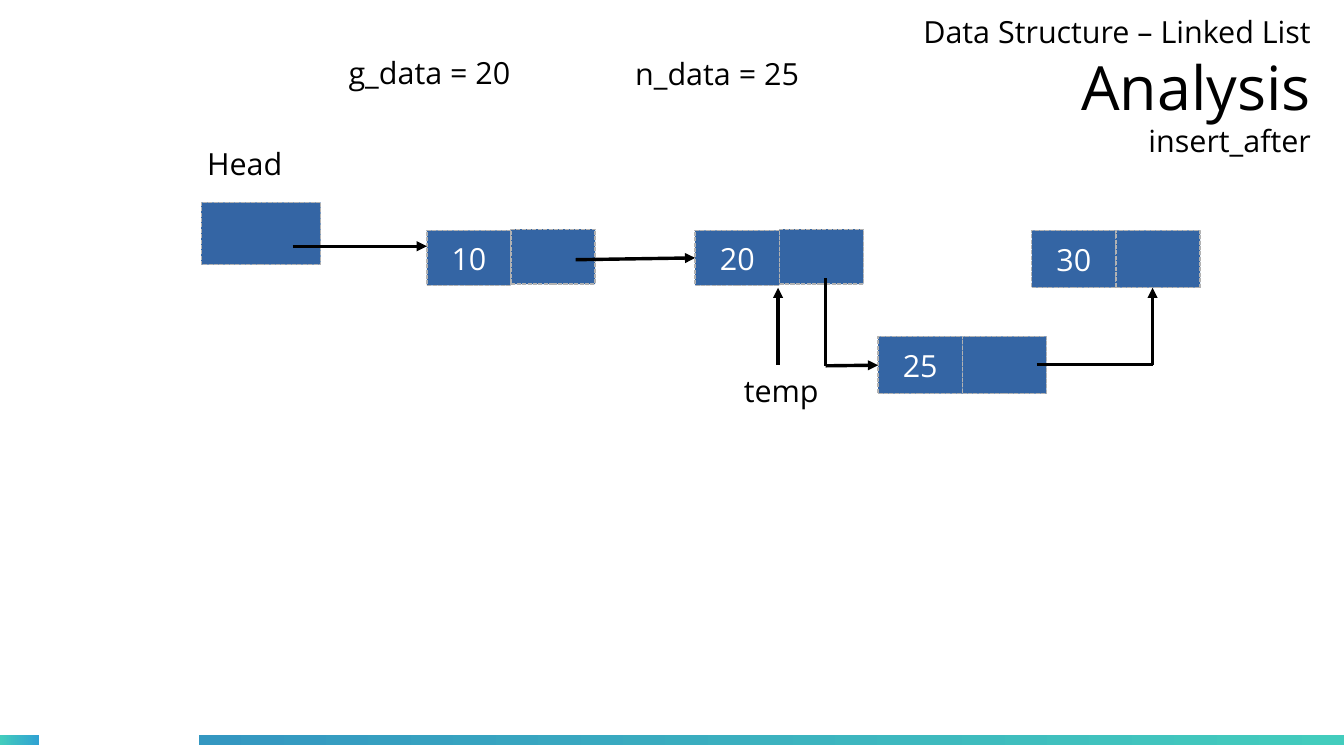
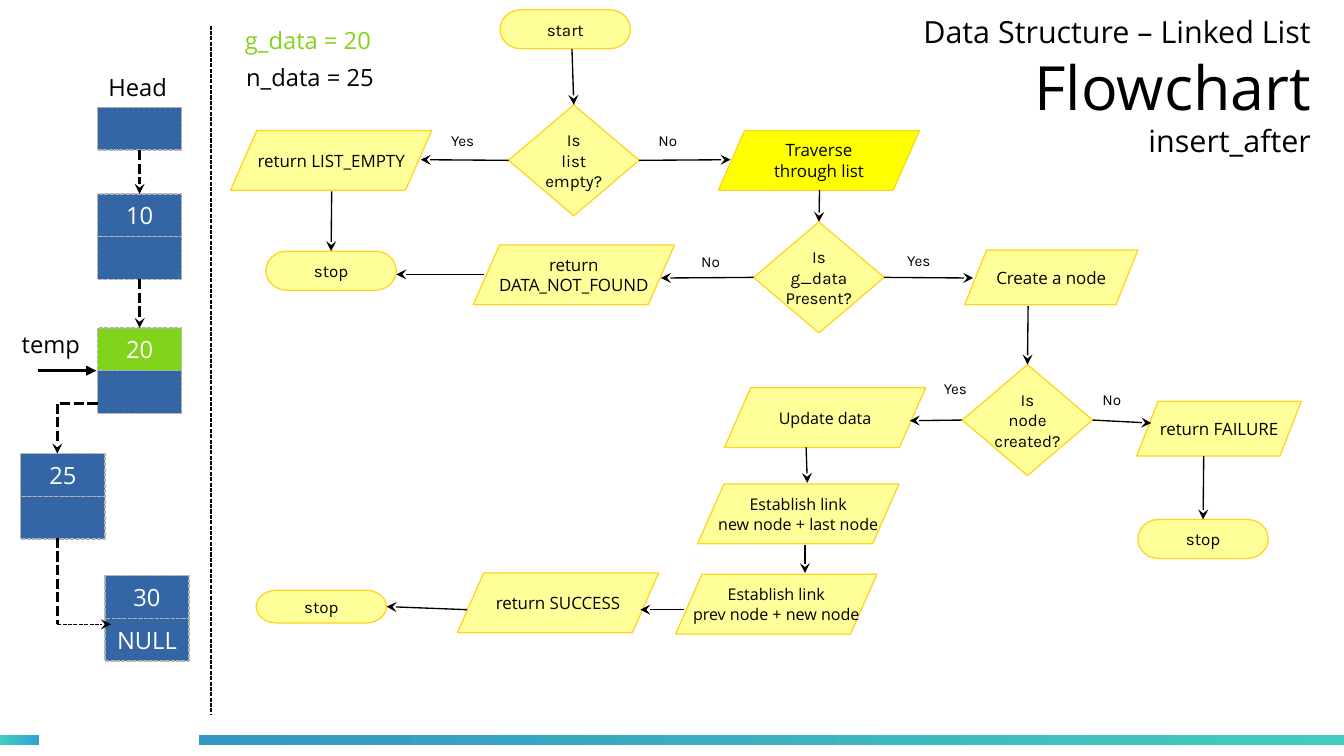
from dataclasses import dataclass
from typing import Any, Optional, Union

import lxml.etree
import pptx
import pptx.dml.color
import pptx.enum.dml
import pptx.enum.shapes
import pptx.enum.text
import pptx.oxml.ns
import pptx.presentation
import pptx.slide
import pptx.util

Inches = pptx.util.Inches
Pt = pptx.util.Pt
RGBColor = pptx.dml.color.RGBColor
SHAPE = pptx.enum.shapes.MSO_SHAPE
ALIGN = pptx.enum.text.PP_ALIGN
MIDDLE = pptx.enum.text.MSO_ANCHOR.MIDDLE
DOTTED = pptx.enum.dml.MSO_LINE.SQUARE_DOT
qn = pptx.oxml.ns.qn

BLACK = RGBColor(0x00, 0x00, 0x00)
WHITE = RGBColor(0xFF, 0xFF, 0xFF)
BLUE = RGBColor(0x34, 0x65, 0xA4)
GRAY = RGBColor(0xB2, 0xB2, 0xB2)
GREEN = RGBColor(0x81, 0xD4, 0x1A)
CREAM = RGBColor(0xFF, 0xFF, 0x99)
YELLOW = RGBColor(0xFF, 0xFF, 0x00)
GOLD = RGBColor(0xFF, 0xD3, 0x20)
TEAL = RGBColor(0x43, 0xCC, 0xBD)
SKY = RGBColor(0x30, 0xA2, 0xD2)
STEEL = RGBColor(0x34, 0x97, 0xC1)

BODY = "Open Sans"
FLOW = "Karla"
THIN = 0.79
CELL_W = 0.69
TOP, LEFT, BOTTOM, RIGHT = range(4)


@dataclass(frozen=True)
class Band:
    left: float
    width: float
    start: RGBColor
    end: RGBColor


@dataclass(frozen=True)
class Label:
    text: str
    left: float
    top: float
    width: float
    size: float
    font: str = BODY
    color: RGBColor = BLACK


@dataclass(frozen=True)
class Node:
    key: str
    left: float
    top: float
    height: float
    step: tuple[float, float]
    texts: tuple[str, ...]
    size: float
    fill: RGBColor = BLUE


@dataclass(frozen=True)
class FlowKind:
    shape: Any
    width: float
    height: float
    font: str
    slant: Optional[float] = None


@dataclass(frozen=True)
class Step:
    key: str
    kind: FlowKind
    left: float
    top: float
    lines: tuple[str, ...]
    size: float = 10
    fill: RGBColor = CREAM


@dataclass(frozen=True)
class Joint:
    key: str
    site: int


End = Union[Joint, tuple[float, float]]


@dataclass(frozen=True)
class Link:
    start: End
    end: End
    head: Optional[str] = "stealth"
    width: float = THIN
    dotted: bool = False


BANDS = (Band(0, 0.32, TEAL, SKY), Band(1.63, 9.39, STEEL, TEAL))

TERMINAL = FlowKind(SHAPE.FLOWCHART_TERMINATOR, 1.07, 0.32, FLOW)
LOW_TERMINAL = FlowKind(SHAPE.FLOWCHART_TERMINATOR, 1.07, 0.27, FLOW)
DECISION = FlowKind(SHAPE.FLOWCHART_DECISION, 1.07, 0.91, FLOW)
ACTION = FlowKind(SHAPE.PARALLELOGRAM, 1.65, 0.49, BODY, 0.44)
CREATE = FlowKind(SHAPE.PARALLELOGRAM, 1.42, 0.45, BODY, 0.4)
FAILURE = FlowKind(SHAPE.PARALLELOGRAM, 1.35, 0.45, BODY, 0.39)

ROW_NODES = (
    Node("30", 8.46, 1.89, 0.47, (CELL_W, 0), ("30", ""), 18),
    Node("20", 5.7, 1.89, 0.45, (CELL_W, -0.01), ("20", ""), 18),
    Node("25", 7.2, 2.76, 0.47, (CELL_W, 0), ("25", ""), 18),
    Node("10", 3.5, 1.89, 0.45, (CELL_W, -0.01), ("10", ""), 18),
)
ROW_LABELS = (
    Label("Head", 1.6, 1.14, 1.11, 18),
    Label("g_data = 20", 2.76, 0.39, 2.52, 18),
    Label("n_data = 25", 5.11, 0.4, 1.89, 18),
    Label("temp", 6, 3, 1.09, 18),
)
ROW_LINKS = (
    Link((2.4, 2.02), (3.5, 2.02), "triangle", 0),
    Link((4.72, 2.13), Joint("20.0", LEFT), "triangle", 0),
    Link((6.38, 2.99), (6.38, 2.36), "triangle", 0),
    Link((8.5, 2.99), (9.45, 2.99), None, 0),
    Link((9.45, 2.99), (9.45, 2.36), "triangle", 0),
    Link((6.77, 2.28), (6.77, 3), None, 0),
    Link((6.77, 3), Joint("25.0", LEFT), "triangle", 0),
)

COLUMN = (0, 0.35)
COLUMN_NODES = (
    Node("head", 0.8, 0.88, 0.35, COLUMN, ("",), 14),
    Node("10", 0.8, 1.59, 0.35, COLUMN, ("10", ""), 14),
    Node("20", 0.8, 2.69, 0.35, COLUMN, ("20", ""), 14, GREEN),
    Node("25", 0.17, 3.72, 0.35, COLUMN, ("25", ""), 14),
    Node("30", 0.86, 4.72, 0.35, COLUMN, ("30", "NULL"), 14),
)
STEPS = (
    Step("start", TERMINAL, 4.1, 0.08, ("start",)),
    Step("empty", DECISION, 4.17, 0.86, ("Is", "list", "empty?")),
    Step("traverse", ACTION, 5.89, 1.07, ("Traverse", "through list"), fill=YELLOW),
    Step("list_empty", ACTION, 1.89, 1.07, ("return LIST_EMPTY",)),
    Step("stop_empty", TERMINAL, 2.18, 2.06, ("stop",)),
    Step("not_found", ACTION, 3.88, 2.01, ("return", "DATA_NOT_FOUND")),
    Step("create", CREATE, 7.91, 2.05, ("Create a node",)),
    Step("present", DECISION, 6.18, 1.82, ("Is", "g_data", "Present?")),
    Step("created", DECISION, 7.89, 2.99, ("Is", "node", "created?")),
    Step("failure", FAILURE, 9.32, 3.29, ("return FAILURE",)),
    Step("stop_failure", TERMINAL, 9.33, 4.26, ("stop",)),
    Step("success", ACTION, 3.75, 4.7, ("return SUCCESS",)),
    Step("stop_success", LOW_TERMINAL, 2.1, 4.84, ("stop",)),
    Step("link_last", ACTION, 5.72, 3.97, ("Establish link", "new node + last node"), 9.5),
    Step("link_prev", ACTION, 5.54, 4.71, ("Establish link", "prev node + new node"), 9.5),
    Step("update", ACTION, 5.94, 3.18, ("Update data",), 9.5),
)
FLOW_LABELS = (
    Label("Head", 0.79, 0.55, 0.8, 14),
    Label("g_data = 20", 1.91, 0.16, 1.57, 14, color=GREEN),
    Label("n_data = 25", 1.92, 0.47, 1.57, 14),
    Label("temp", 0.08, 2.66, 0.8, 14),
) + tuple(
    Label(text, left, top, 0.45, 9, FLOW)
    for text, left, top in (
        ("Yes", 3.6, 1.03),
        ("No", 5.3, 1.03),
        ("No", 5.65, 2.02),
        ("Yes", 7.34, 2.01),
        ("Yes", 7.64, 3.06),
        ("No", 8.94, 3.15),
    )
)
FLOW_LINKS = (
    Link((1.73, 0.21), (1.73, 5.86), None, dotted=True),
    Link((4.69, 0.4), Joint("empty", TOP)),
    Link(Joint("empty", LEFT), (3.45, 1.31)),
    Link(Joint("empty", RIGHT), (5.99, 1.31)),
    Link((2.72, 1.57), Joint("stop_empty", TOP)),
    Link((6.72, 1.56), Joint("present", TOP)),
    Link(Joint("present", LEFT), (5.42, 2.28)),
    Link(Joint("present", RIGHT), (7.98, 2.28)),
    Link((3.97, 2.25), (3.25, 2.25)),
    Link((8.43, 2.51), Joint("created", TOP)),
    Link(Joint("created", LEFT), (7.46, 3.45)),
    Link(Joint("created", RIGHT), (9.44, 3.47)),
    Link((9.87, 3.74), Joint("stop_failure", TOP)),
    Link((6.61, 3.67), (6.62, 3.96)),
    Link((6.6, 4.47), (6.6, 4.7)),
    Link((5.61, 5), (5.25, 5)),
    Link((3.83, 5), Joint("stop_success", RIGHT)),
    Link(Joint("head.0", BOTTOM), Joint("10.0", TOP), width=0, dotted=True),
    Link(Joint("10.1", BOTTOM), Joint("20.0", TOP), width=0, dotted=True),
    Link((0.31, 3.04), (0.79, 3.04), "triangle", 0),
    Link((0.8, 3.31), (0.47, 3.31), None, 0, True),
    Link((0.47, 3.31), (0.47, 3.72), width=0, dotted=True),
    Link((0.47, 4.41), (0.47, 5.12), None, 0, True),
    Link((0.47, 5.12), (0.91, 5.12), dotted=True),
)


def add_run(p: Any, text: str, size: float, font: str, color: RGBColor) -> None:
    r = p.add_run()
    r.text = text
    r.font.size = Pt(size)
    r.font.name = font
    r.font.color.rgb = color


def add_box(s: pptx.slide.Slide, shape: Any, left: float, top: float, width: float,
            height: float, fill: RGBColor, line: RGBColor, weight: float) -> Any:
    sp = s.shapes.add_shape(shape, Inches(left), Inches(top), Inches(width), Inches(height))
    sp.shadow.inherit = False
    sp.fill.solid()
    sp.fill.fore_color.rgb = fill
    sp.line.color.rgb = line
    sp.line.width = Pt(weight)
    return sp


def write_centred(sp: Any, lines: tuple[str, ...], size: float, font: str, color: RGBColor) -> None:
    tf = sp.text_frame
    tf.word_wrap = False
    tf.vertical_anchor = MIDDLE
    for i, text in enumerate(lines):
        p = tf.add_paragraph() if i else tf.paragraphs[0]
        p.alignment = ALIGN.CENTER
        add_run(p, text, size, font, color)


def add_node(s: pptx.slide.Slide, node: Node) -> dict[str, Any]:
    cells = {}
    for i, text in enumerate(node.texts):
        left, top = node.left + i * node.step[0], node.top + i * node.step[1]
        sp = add_box(s, SHAPE.RECTANGLE, left, top, CELL_W, node.height,
                     BLUE if i else node.fill, GRAY, THIN)
        sp.line.dash_style = DOTTED
        if text:
            write_centred(sp, (text,), node.size, BODY, WHITE)
        cells[f"{node.key}.{i}"] = sp
    return cells


def add_step(s: pptx.slide.Slide, step: Step) -> dict[str, Any]:
    kind = step.kind
    sp = add_box(s, kind.shape, step.left, step.top, kind.width, kind.height, step.fill, GOLD, 0)
    if kind.slant is not None:
        sp.adjustments[0] = kind.slant
    write_centred(sp, step.lines, step.size, kind.font, BLACK)
    return {step.key: sp}


def add_label(s: pptx.slide.Slide, label: Label) -> None:
    sp = s.shapes.add_textbox(Inches(label.left), Inches(label.top), Inches(label.width), Inches(0.4))
    sp.text_frame.word_wrap = True
    add_run(sp.text_frame.paragraphs[0], label.text, label.size, label.font, label.color)


def add_link(s: pptx.slide.Slide, link: Link, shapes: dict[str, Any]) -> None:
    points = [(0, 0) if isinstance(end, Joint) else end for end in (link.start, link.end)]
    c = s.shapes.add_connector(pptx.enum.shapes.MSO_CONNECTOR.STRAIGHT,
                               *(Inches(v) for point in points for v in point))
    for end, connect in ((link.start, c.begin_connect), (link.end, c.end_connect)):
        if isinstance(end, Joint):
            connect(shapes[end.key], end.site)
    c.line.color.rgb = BLACK
    c.line.width = Pt(link.width)
    if link.dotted:
        c.line.dash_style = DOTTED
    spPr = c.element.spPr
    if link.head:
        lxml.etree.SubElement(spPr.find(qn("a:ln")), qn("a:tailEnd"), type=link.head)
    lxml.etree.SubElement(spPr, qn("a:effectLst"))


def add_slide(prs: pptx.presentation.Presentation, topic: str) -> pptx.slide.Slide:
    s = prs.slides.add_slide(prs.slide_layouts[5])
    sp = s.shapes.title
    sp.left, sp.top, sp.width, sp.height = (Inches(v) for v in (7.29, -0.02, 3.46, 1.45))
    tf = sp.text_frame
    tf.word_wrap = True
    tf.vertical_anchor = MIDDLE
    tf.margin_left = tf.margin_top = tf.margin_right = tf.margin_bottom = 0
    p = tf.paragraphs[0]
    p.alignment = ALIGN.RIGHT
    lines = (("Data Structure – Linked List", 18), (topic, 36), ("insert_after", 18))
    for i, (text, size) in enumerate(lines):
        if i:
            p.add_line_break()
        add_run(p, text, size, BODY, BLACK)
    return s


def add_bands(prs: pptx.presentation.Presentation, s: pptx.slide.Slide) -> None:
    for band in BANDS:
        sp = add_box(s, SHAPE.RECTANGLE, band.left, 6.03, band.width, 0.08, TEAL, TEAL, 0)
        sp.line.fill.background()
        sp.fill.gradient()
        sp.fill.gradient_angle = 0
        for stop, color in zip(sp.fill.gradient_stops, (band.start, band.end)):
            stop.color.rgb = color
        prs.slide_layouts[5].shapes.element.append(sp.element)


def main() -> None:
    prs = pptx.Presentation()
    prs.slide_width, prs.slide_height = Inches(11.02), Inches(6.2)
    title_style = prs.slide_master.element.find(".//" + qn("p:titleStyle"))
    title_style.find(".//" + qn("a:defRPr")).set("sz", "1800")

    s = add_slide(prs, "Analysis")
    add_bands(prs, s)
    add_box(s, SHAPE.RECTANGLE, 1.65, 1.66, 0.98, 0.51, BLUE, GRAY, THIN).line.dash_style = DOTTED
    draw(s, ROW_NODES, (), ROW_LABELS, ROW_LINKS)

    s = add_slide(prs, "Flowchart")
    draw(s, COLUMN_NODES, STEPS, FLOW_LABELS, FLOW_LINKS)
    prs.save("out.pptx")


def draw(s: pptx.slide.Slide, nodes: tuple[Node, ...], steps: tuple[Step, ...],
         labels: tuple[Label, ...], links: tuple[Link, ...]) -> None:
    shapes: dict[str, Any] = {}
    for node in nodes:
        shapes.update(add_node(s, node))
    for step in steps:
        shapes.update(add_step(s, step))
    for label in labels:
        add_label(s, label)
    for link in links:
        add_link(s, link, shapes)


if __name__ == "__main__":
    main()
